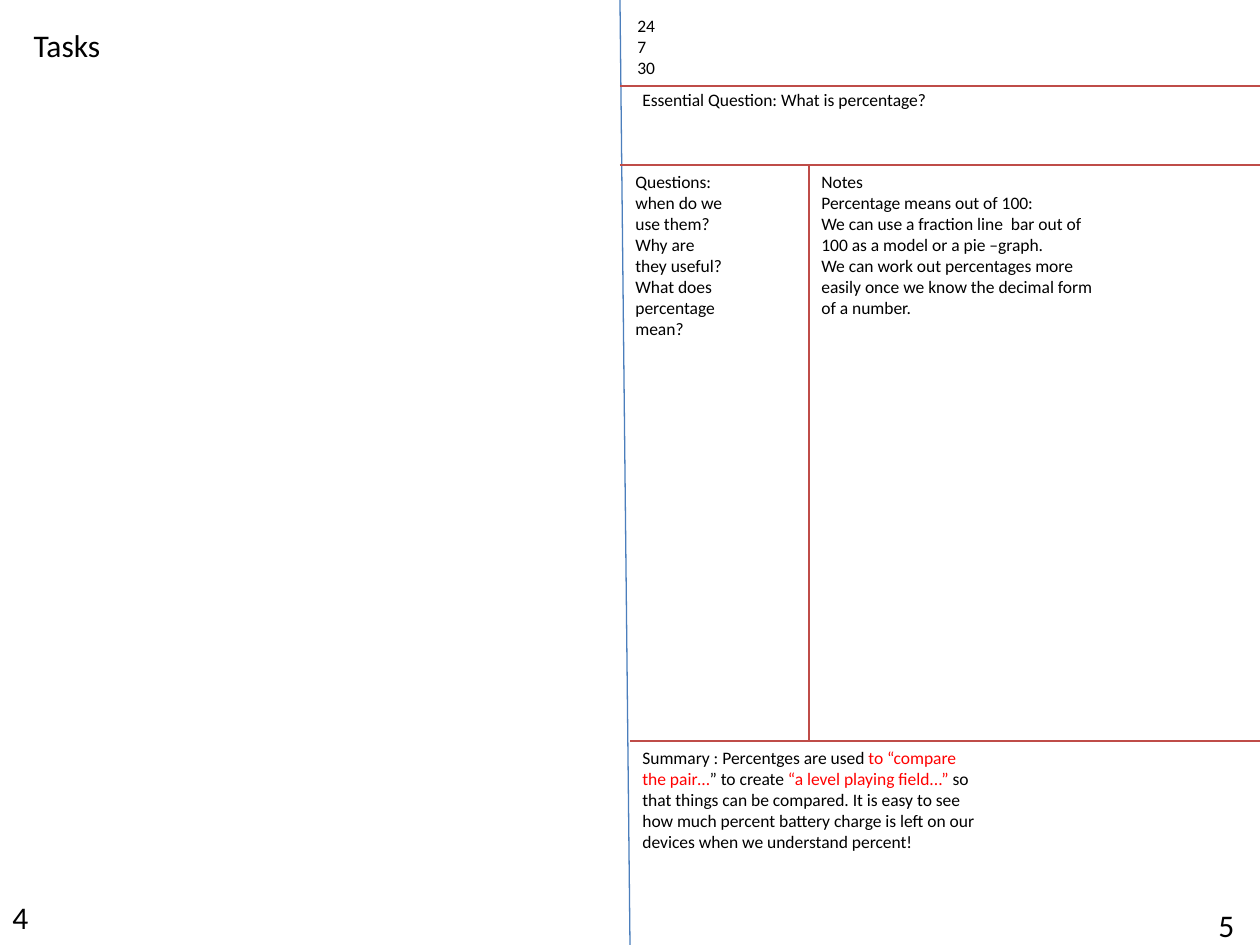
from lxml import etree
from pptx import Presentation
from pptx.dml.color import RGBColor
from pptx.enum.shapes import MSO_CONNECTOR
from pptx.enum.text import MSO_ANCHOR, MSO_AUTO_SIZE, PP_ALIGN
from pptx.oxml.ns import qn
from pptx.util import Pt

STRAIGHT = MSO_CONNECTOR.STRAIGHT
TOP = MSO_ANCHOR.TOP
LEFT = PP_ALIGN.LEFT
FIT_SHAPE = MSO_AUTO_SIZE.SHAPE_TO_FIT_TEXT

BLUE = RGBColor(0x4B, 0x7E, 0xBC)
RULE_RED = RGBColor(0xBF, 0x4C, 0x48)
RED = RGBColor(0xFF, 0x00, 0x00)
BLACK = RGBColor(0x00, 0x00, 0x00)

FONT = "Calibri"
BODY, LARGE = 10, 18
SLIDE_W, SLIDE_H = 1260, 945
GUTTER = 620


def px(n):
    """Pixels to EMU, at 126 pixels to the inch."""
    return round(n * 914400 / 126)


def add_line(s, x1, y1, x2, y2, color):
    line = s.shapes.add_connector(STRAIGHT, px(x1), px(y1), px(x2), px(y2))
    line.line.color.rgb = color
    line.line.width = Pt(0.75)
    etree.SubElement(line._element.spPr, qn("a:effectLst"))


def write(sp, paragraphs, size, wrap=True):
    """Fill a shape; each paragraph is a list of (text, colour) runs."""
    tf = sp.text_frame
    tf.word_wrap = wrap
    tf.auto_size = FIT_SHAPE
    tf.vertical_anchor = TOP
    for i, runs in enumerate(paragraphs):
        p = tf.paragraphs[0] if i == 0 else tf.add_paragraph()
        p.alignment = LEFT
        for text, color in runs:
            r = p.add_run()
            r.text = text
            r.font.name = FONT
            r.font.size = Pt(size)
            r.font.color.rgb = color


def add_text(s, x, y, w, h, paragraphs, size=BODY, wrap=True):
    sp = s.shapes.add_textbox(px(x), px(y), px(w), px(h))
    write(sp, paragraphs, size, wrap)


def plain(*lines):
    return [[(line, BLACK)] for line in lines]


def tasks_page(s, x, y, w, h):
    title = s.shapes.title
    title.left, title.top = px(x + 21), px(y + 20)
    title.width, title.height = px(92), px(51)
    write(title, plain("Tasks"), LARGE, wrap=False)
    add_text(s, x, y + h - 53, 42, 51, plain("4"), LARGE, wrap=False)


def notes_page(s, x, y, w, h):
    right, bottom = x + w, y + h
    question_y, notes_y, summary_y = y + 86, y + 165, y + 741
    notes_x, summary_x = x + 189, x + 10

    add_line(s, x, y, summary_x, bottom, BLUE)
    add_line(s, x, question_y, right, question_y, RULE_RED)
    add_line(s, x, notes_y, right, notes_y, RULE_RED)
    add_line(s, summary_x, summary_y, right, summary_y, RULE_RED)
    add_line(s, notes_x, notes_y, notes_x, summary_y, RULE_RED)

    add_text(s, x + 5, y + 9, 59, 77, plain("24", "7", "30"))
    add_text(s, summary_x, question_y - 3, 456, 34,
             plain("Essential Question: What is percentage?"))
    add_text(s, x + 3, notes_y, 118, 183, plain(
        "Questions: when do we use them?",
        "Why are they useful?",
        "What does percentage mean?"))
    add_text(s, notes_x, notes_y, 307, 161, plain(
        "Notes",
        "Percentage means out of 100:",
        "We can use a fraction line  bar out of 100 as a model or a pie –graph.",
        "We can work out percentages more easily once we know the decimal form "
        "of a number."))
    add_text(s, summary_x, summary_y, 357, 118, [[
        ("Summary : Percentges are used ", BLACK),
        ("to “compare the pair…", RED),
        ("” to create ", BLACK),
        ("“a level playing field...” ", RED),
        ("so that things can be compared. It is easy to see how much percent "
         "battery charge is left on our devices when we understand percent!",
         BLACK)]])
    add_text(s, right - 54, bottom - 45, 54, 51, plain("5"), LARGE)


def main():
    prs = Presentation()
    prs.slide_width, prs.slide_height = px(SLIDE_W), px(SLIDE_H)
    s = prs.slides.add_slide(prs.slide_layouts[5])
    tasks_page(s, 0, 0, GUTTER, SLIDE_H)
    notes_page(s, GUTTER, 0, SLIDE_W - GUTTER, SLIDE_H)
    prs.save("out.pptx")


if __name__ == "__main__":
    main()
